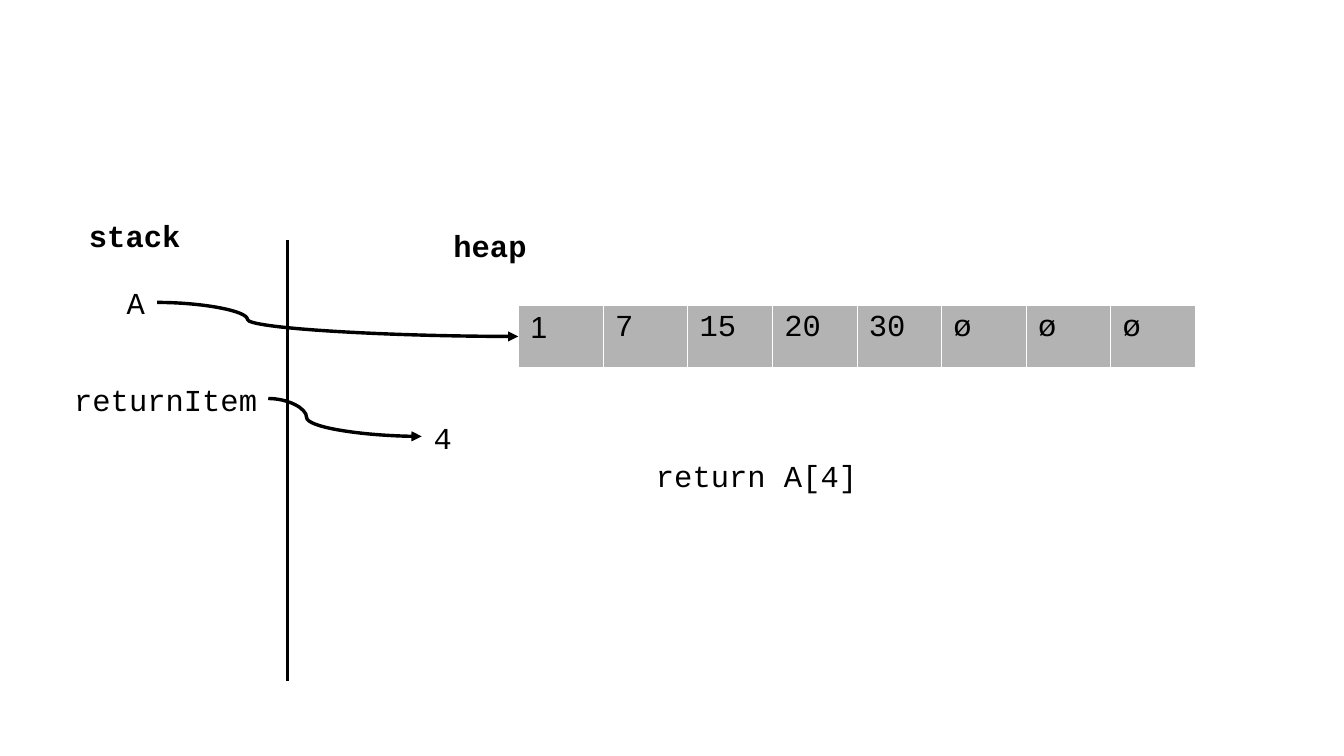
from lxml import etree
from pptx import Presentation
from pptx import util as u
from pptx.dml.color import RGBColor
from pptx.enum import shapes, text
from pptx.oxml import ns

BLACK = RGBColor(0x00, 0x00, 0x00)
WHITE = RGBColor(0xFF, 0xFF, 0xFF)
GREY = RGBColor(0xB3, 0xB3, 0xB3)
CODE_FONT = "Courier New"
LABEL_HEIGHT = 31.7
ARRAY_ITEMS = ["1", "7", "15", "20", "30", "ø", "ø", "ø"]


def add_child(parent, tag, **attributes):
    """Append a DrawingML element to parent and return it."""
    return etree.SubElement(parent, ns.qn(tag), attributes)


def write(frame, words, **formats):
    """Write words into a text frame with the given font values."""
    run = frame.paragraphs[0].add_run()
    run.text = words
    run.font.color.rgb = BLACK
    values = {"name": CODE_FONT, "size": u.Pt(18), **formats}
    for name, value in values.items():
        setattr(run.font, name, value)


def add_label(slide, words, left, top, width, height=LABEL_HEIGHT, wrap=False, **formats):
    """Add a code label whose box grows with its text."""
    frame = slide.shapes.add_textbox(*map(u.Pt, (left, top, width, height))).text_frame
    frame.word_wrap = wrap
    frame.auto_size = text.MSO_AUTO_SIZE.SHAPE_TO_FIT_TEXT
    write(frame, words, **formats)


def add_hairline(slide, kind, left, top, right, bottom):
    """Add a thin black connector without a shadow."""
    connector = slide.shapes.add_connector(kind, *map(u.Pt, (left, top, right, bottom)))
    connector.line.color.rgb = BLACK
    connector.line.width = u.Pt(0)
    add_child(connector.element.spPr, "a:effectLst")
    return connector


def add_pointer(slide, left, top, right, bottom):
    """Add a curved arrow that bends a quarter of the way along."""
    connector = add_hairline(slide, shapes.MSO_CONNECTOR.CURVE, left, top, right, bottom)
    properties = connector.element.spPr
    guides = properties.find(".//" + ns.qn("a:avLst"))
    add_child(guides, "a:gd", name="adj1", fmla="val 25000")
    add_child(properties.find(ns.qn("a:ln")), "a:tailEnd", type="triangle")


def style_cell(cell):
    """Give a table cell thin white borders and a grey fill."""
    properties = cell._tc.get_or_add_tcPr()
    for side in ("a:lnL", "a:lnR", "a:lnT", "a:lnB"):
        border = add_child(properties, side, w="762")
        fill = add_child(border, "a:solidFill")
        add_child(fill, "a:srgbClr", val=str(WHITE))
    cell.fill.solid()
    cell.fill.fore_color.rgb = GREY


def add_array(slide, left, top, width, height):
    """Add the array as one row of equal cells."""
    count = len(ARRAY_ITEMS)
    table = slide.shapes.add_table(1, count, *map(u.Pt, (left, top, width, height))).table
    table.first_row = table.horz_banding = False
    for index, item in enumerate(ARRAY_ITEMS):
        cell = table.cell(0, index)
        style_cell(cell)
        write(cell.text_frame, item, name=CODE_FONT if index else "Arial")


def add_stack(slide, left, top, width, height):
    """Add the stack names and the line that closes their region."""
    right = left + width
    add_hairline(slide, shapes.MSO_CONNECTOR.STRAIGHT, right, top + 17.2, right, top + height)
    add_label(slide, "A", left + 31, top + 39.6, 25.9)
    add_label(slide, "stack", left + 8.7, top, 68.4, bold=True)
    add_label(slide, "returnItem", left, top + 97.2, 122.4)


def add_heap(slide, left, top):
    """Add the heap values and the arrows that reach them from the stack."""
    add_array(slide, left + 57, top + 49.7, 399.6, 36.7)
    add_label(slide, "heap", left + 11.6, top, 59, bold=True)
    add_label(slide, "4", left, top + 113.8, 25.2)
    add_pointer(slide, left - 156.2, top + 48.3, left + 57, top + 68.4)
    add_pointer(slide, left - 90.6, top + 105.1, left, top + 127.5)


def main():
    """Build the stack and heap slide."""
    presentation = Presentation()
    presentation.slide_width = u.Pt(793.5)
    presentation.slide_height = u.Pt(446.5)
    slide = presentation.slides.add_slide(presentation.slide_layouts[6])
    add_stack(slide, 36.7, 124.6, 133.2, 277.9)
    add_heap(slide, 249, 130.3)
    add_label(slide, "return A[4]", 380.2, 266.4, 329, 69.8, wrap=True)
    presentation.save("out.pptx")


if __name__ == "__main__":
    main()
